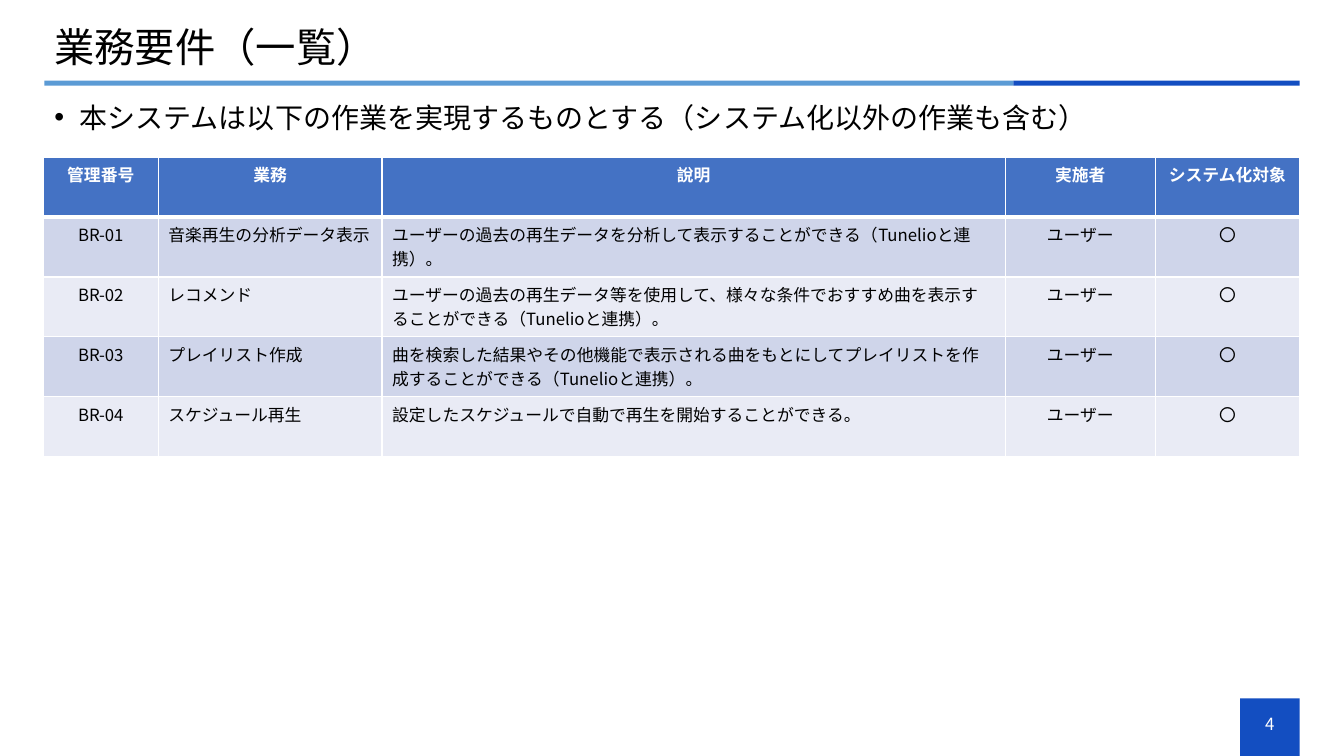
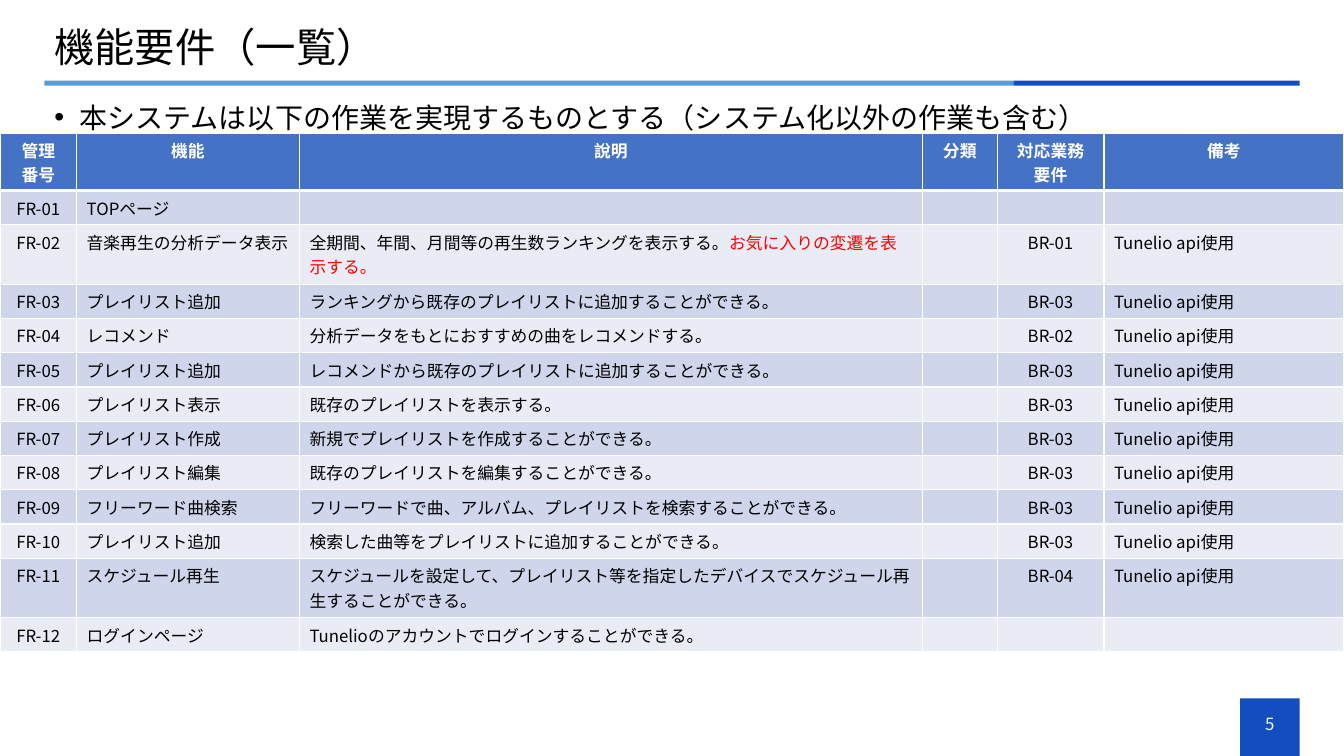
from dataclasses import dataclass

from lxml import etree
from pptx import Presentation
from pptx.dml.color import RGBColor
from pptx.enum.shapes import MSO_SHAPE
from pptx.enum.text import MSO_ANCHOR, PP_ALIGN
from pptx.oxml.ns import qn
from pptx.util import Inches, Pt

RECTANGLE = MSO_SHAPE.RECTANGLE
MIDDLE = MSO_ANCHOR.MIDDLE
TOP = MSO_ANCHOR.TOP
CENTER = PP_ALIGN.CENTER
LEFT = PP_ALIGN.LEFT

FONT = "Noto Sans CJK JP"
BLACK = "000000"
WHITE = "FFFFFF"
RED = "FF0000"
DARK_BLUE = "134EC1"
LIGHT_BLUE = "5B9BD5"
HEADER_BLUE = "4472C4"
ROW_FILLS = ("CFD5EA", "E9EBF5")
TABLE_SIZE = 12
MARGIN = 0.44
CONTENT_WIDTH = 12.46
SINGLE_LINE = 0.34
DOUBLE_LINE = 0.59
SERVICE = "Tunelio"
LEAD = "本システムは以下の作業を実現するものとする（システム化以外の作業も含む）"


@dataclass(frozen=True)
class Box:
    left: float
    top: float
    width: float
    height: float

    def lengths(self) -> tuple:
        return tuple(Inches(value) for value in (self.left, self.top, self.width, self.height))


@dataclass(frozen=True)
class Band:
    box: Box
    color: str


@dataclass(frozen=True)
class TextRun:
    text: str
    color: str = BLACK
    bold: bool = False


@dataclass(frozen=True)
class Column:
    title: str
    width: float
    alignment: PP_ALIGN = LEFT


@dataclass(frozen=True)
class TableContent:
    left: float
    top: float
    heights: tuple
    columns: tuple
    rows: tuple


@dataclass(frozen=True)
class Page:
    number: int
    title: str
    table: TableContent


@dataclass(frozen=True)
class Function:
    name: str
    description: str | tuple = ""
    business: str = ""
    height: float = SINGLE_LINE


BANDS = (
    Band(Box(12.3, 6.93, 0.59, 0.57), DARK_BLUE),
    Band(Box(MARGIN, 0.8, 9.61, 0.05), LIGHT_BLUE),
    Band(Box(10.05, 0.8, 2.84, 0.05), DARK_BLUE),
)
TITLE_BOX = Box(MARGIN, 0.22, CONTENT_WIDTH, 0.55)
LEAD_BOX = Box(MARGIN, 0.88, CONTENT_WIDTH, 0.55)
NUMBER_BOX = Box(12.3, 6.98, 0.59, 0.4)

BUSINESS_COLUMNS = (
    Column("管理番号", 1.14, CENTER),
    Column("業務", 2.22),
    Column("說明", 6.18),
    Column("実施者", 1.49, CENTER),
    Column("システム化対象", 1.43, CENTER),
)
BUSINESSES = (
    ("音楽再生の分析データ表示",
     f"ユーザーの過去の再生データを分析して表示することができる（{SERVICE}と連携）。"),
    ("レコメンド",
     f"ユーザーの過去の再生データ等を使用して、様々な条件でおすすめ曲を表示することができる（{SERVICE}と連携）。"),
    ("プレイリスト作成",
     f"曲を検索した結果やその他機能で表示される曲をもとにしてプレイリストを作成することができる（{SERVICE}と連携）。"),
    ("スケジュール再生", "設定したスケジュールで自動で再生を開始することができる。"),
)
BUSINESS_HEIGHTS = (2.97 / 5,) * 5

FUNCTION_COLUMNS = (
    Column("管理\n番号", 0.76, CENTER),
    Column("機能", 2.21),
    Column("說明", 6.18),
    Column("分類", 0.74),
    Column("対応業務\n要件", 1.06, CENTER),
    Column("備考", 2.38),
)
FUNCTIONS = (
    Function("TOPページ"),
    Function("音楽再生の分析データ表示",
             (TextRun("全期間、年間、月間等の再生数ランキングを表示する。"),
              TextRun("お気に入りの変遷を表示する。", RED)), "BR-01", DOUBLE_LINE),
    Function("プレイリスト追加", "ランキングから既存のプレイリストに追加することができる。", "BR-03"),
    Function("レコメンド", "分析データをもとにおすすめの曲をレコメンドする。", "BR-02"),
    Function("プレイリスト追加", "レコメンドから既存のプレイリストに追加することができる。", "BR-03"),
    Function("プレイリスト表示", "既存のプレイリストを表示する。", "BR-03"),
    Function("プレイリスト作成", "新規でプレイリストを作成することができる。", "BR-03"),
    Function("プレイリスト編集", "既存のプレイリストを編集することができる。", "BR-03"),
    Function("フリーワード曲検索",
             "フリーワードで曲、アルバム、プレイリストを検索することができる。", "BR-03"),
    Function("プレイリスト追加", "検索した曲等をプレイリストに追加することができる。", "BR-03"),
    Function("スケジュール再生",
             "スケジュールを設定して、プレイリスト等を指定したデバイスでスケジュール再生することができる。",
             "BR-04", DOUBLE_LINE),
    Function("ログインページ", f"{SERVICE}のアカウントでログインすることができる。"),
)
FUNCTION_HEIGHTS = (0.57, *(function.height for function in FUNCTIONS))


def business_rows() -> tuple:
    return tuple((f"BR-{index:02}", name, description, "ユーザー", "〇")
                 for index, (name, description) in enumerate(BUSINESSES, 1))


def function_rows() -> tuple:
    return tuple((f"FR-{index:02}", function.name, function.description, "", function.business,
                  f"{SERVICE} api使用" if function.business else "")
                 for index, function in enumerate(FUNCTIONS, 1))


PAGES = (
    Page(4, "業務要件（一覧）",
         TableContent(0.43, 1.56, BUSINESS_HEIGHTS, BUSINESS_COLUMNS, business_rows())),
    Page(5, "機能要件（一覧）",
         TableContent(0, 1.32, FUNCTION_HEIGHTS, FUNCTION_COLUMNS, function_rows())),
)


def rgb(color: str) -> RGBColor:
    return RGBColor.from_string(color)


def paint(target, color: str) -> None:
    target.fill.solid()
    target.fill.fore_color.rgb = rgb(color)


def add_run(paragraph, content: TextRun, size: float) -> None:
    run = paragraph.add_run()
    run.text = content.text
    run.font.size = Pt(size)
    run.font.bold = content.bold
    run.font.color.rgb = rgb(content.color)
    run.font.name = FONT
    properties = run.font._element
    etree.SubElement(properties, qn("a:ea"), typeface=FONT)


def add_band(slide, band: Band) -> None:
    shape = slide.shapes.add_shape(RECTANGLE, *band.box.lengths())
    shape.shadow.inherit = False
    paint(shape, band.color)
    shape.line.fill.background()


def add_text(slide, box: Box, content: TextRun, size: float, anchor=MIDDLE, alignment=LEFT):
    frame = slide.shapes.add_textbox(*box.lengths()).text_frame
    frame.word_wrap = True
    frame.vertical_anchor = anchor
    paragraph = frame.paragraphs[0]
    paragraph.alignment = alignment
    add_run(paragraph, content, size)
    return paragraph


def add_bullet(paragraph) -> None:
    properties = paragraph._p.get_or_add_pPr()
    properties.set("marL", str(Inches(0.25)))
    properties.set("indent", str(Inches(-0.25)))
    etree.SubElement(properties, qn("a:buFont"), typeface="Arial")
    etree.SubElement(properties, qn("a:buChar"), char="•")


def set_borders(cell, top: float, bottom: float) -> None:
    properties = cell._tc.get_or_add_tcPr()
    for side, width in (("L", 1), ("R", 1), ("T", top), ("B", bottom)):
        line = etree.SubElement(properties, qn(f"a:ln{side}"), w=str(Pt(width)))
        fill = etree.SubElement(line, qn("a:solidFill"))
        etree.SubElement(fill, qn("a:srgbClr"), val=WHITE)


def fill_cell(cell, lines: list, alignment: PP_ALIGN, color: str) -> None:
    paint(cell, color)
    frame = cell.text_frame
    for index, runs in enumerate(lines):
        paragraph = frame.add_paragraph() if index else frame.paragraphs[0]
        paragraph.alignment = alignment
        for content in runs:
            add_run(paragraph, content, TABLE_SIZE)
        if not runs:
            etree.SubElement(paragraph._p, qn("a:endParaRPr"), sz=str(TABLE_SIZE * 100))


def body_runs(value: str | tuple) -> tuple:
    if isinstance(value, tuple):
        return value
    return (TextRun(value),) if value else ()


def add_requirements(slide, content: TableContent) -> None:
    columns = content.columns
    width = sum(column.width for column in columns)
    box = Box(content.left, content.top, width, sum(content.heights))
    table = slide.shapes.add_table(len(content.heights), len(columns), *box.lengths()).table
    table.horz_banding = False
    for row, height in zip(table.rows, content.heights):
        row.height = Inches(height)
    for column_index, column in enumerate(columns):
        table.columns[column_index].width = Inches(column.width)
        header = table.cell(0, column_index)
        set_borders(header, 1, 3)
        titles = [(TextRun(line, WHITE, True),) for line in column.title.split("\n")]
        fill_cell(header, titles, CENTER, HEADER_BLUE)
        for row_index, values in enumerate(content.rows, 1):
            cell = table.cell(row_index, column_index)
            set_borders(cell, 3 if row_index == 1 else 1, 1)
            fill_cell(cell, [body_runs(values[column_index])], column.alignment,
                      ROW_FILLS[(row_index - 1) % 2])


def add_page(presentation, page: Page) -> None:
    slide = presentation.slides.add_slide(presentation.slide_layouts[6])
    for band in BANDS:
        add_band(slide, band)
    title = add_text(slide, TITLE_BOX, TextRun(page.title), 28.8)
    title.line_spacing = 0.9
    lead = add_text(slide, LEAD_BOX, TextRun(LEAD), 20, TOP)
    lead.line_spacing = 1.2
    lead.space_before = Pt(10)
    add_bullet(lead)
    add_text(slide, NUMBER_BOX, TextRun(str(page.number), WHITE), 12, alignment=CENTER)
    add_requirements(slide, page.table)


def main() -> None:
    presentation = Presentation()
    presentation.slide_width = Inches(13.33)
    presentation.slide_height = Inches(7.5)
    for page in PAGES:
        add_page(presentation, page)
    presentation.save("out.pptx")


if __name__ == "__main__":
    main()
